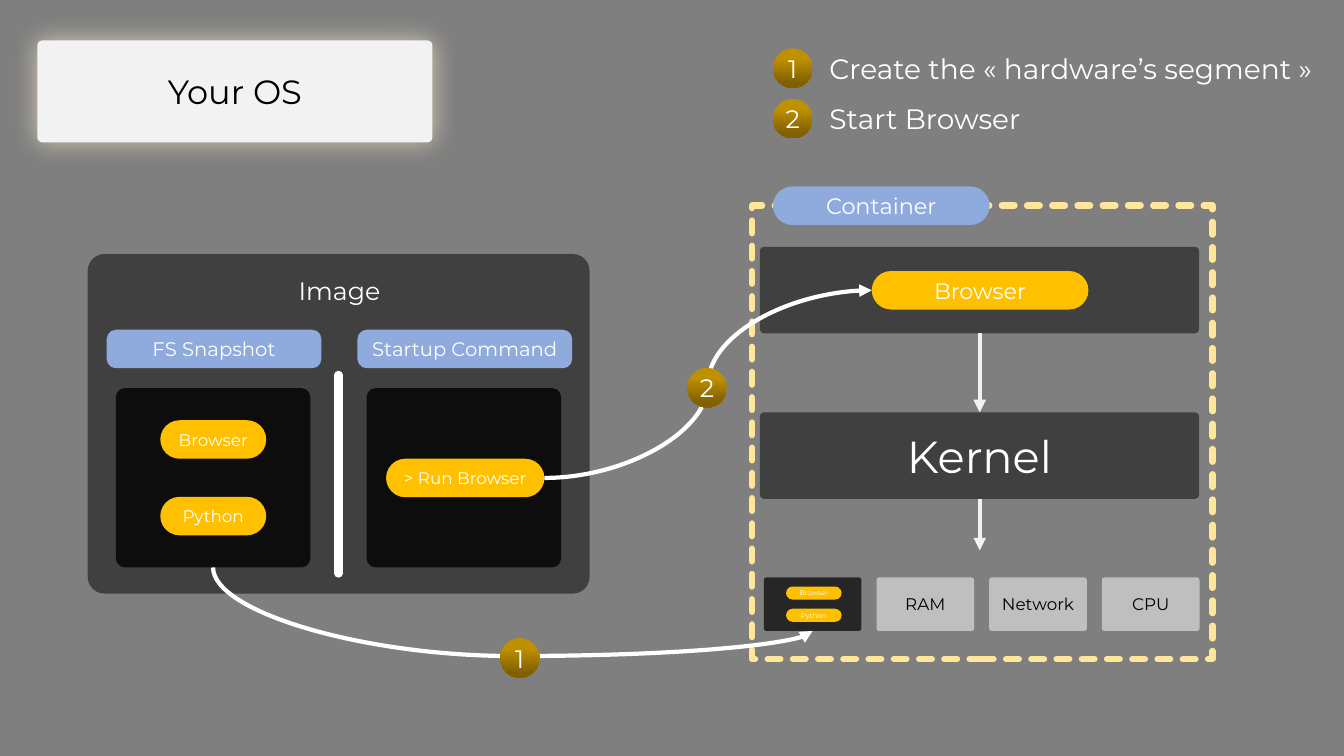
from typing import NamedTuple

from lxml import etree
from pptx import Presentation
from pptx.dml.color import RGBColor
from pptx.enum.dml import MSO_LINE
from pptx.enum.shapes import MSO_CONNECTOR, MSO_SHAPE
from pptx.enum.text import MSO_ANCHOR, PP_ALIGN
from pptx.oxml.ns import qn
from pptx.shapes.autoshape import Shape
from pptx.shapes.connector import Connector
from pptx.shapes.shapetree import SlideShapes
from pptx.util import Cm, Pt

ROUNDED, FRAME, OVAL = MSO_SHAPE.ROUNDED_RECTANGLE, MSO_SHAPE.RECTANGLE, MSO_SHAPE.OVAL
STRAIGHT, CURVE = MSO_CONNECTOR.STRAIGHT, MSO_CONNECTOR.CURVE
SHORT_DASH = MSO_LINE.SQUARE_DOT
MIDDLE = MSO_ANCHOR.MIDDLE
LEFT, CENTER = PP_ALIGN.LEFT, PP_ALIGN.CENTER
LEFT_SITE, BOTTOM_SITE, RIGHT_SITE = 1, 2, 3


class Theme(NamedTuple):
    font: str = "Montserrat"
    page: str = "7F7F7F"
    white: str = "FFFFFF"
    black: str = "000000"
    pale: str = "F2F2F2"
    glow: str = "FFF2CC"
    frame: str = "FFE699"
    layer: str = "404040"
    panel: str = "0D0D0D"
    disk: str = "262626"
    resource: str = "BFBFBF"
    program: str = "FFC000"
    label: str = "8FAADC"
    badge_top: str = "BF9000"
    badge_bottom: str = "806000"
    kernel: int = 32
    title: int = 24
    legend: int = 20
    heading: int = 18
    pill: int = 16
    column: int = 14
    small: int = 12
    tiny: int = 5


THEME = Theme()


class Block(NamedTuple):
    """A filled rounded box; lengths in centimetres, corner as a share of the short side."""
    left: float
    top: float
    width: float
    height: float
    fill: str
    corner: float = 0.05
    text: str = ""
    size: int = THEME.small
    color: str = THEME.white


class Badge(NamedTuple):
    left: float
    top: float
    number: int


def rgb(value: str) -> RGBColor:
    return RGBColor.from_string(value)


def write_text(box: Shape, text: str, *, size: int, color: str = THEME.white,
               align: PP_ALIGN = CENTER, wrap: bool = False) -> None:
    frame = box.text_frame
    frame.word_wrap = wrap
    frame.vertical_anchor = MIDDLE
    frame.margin_left = frame.margin_right = frame.margin_top = frame.margin_bottom = 0
    para = frame.paragraphs[0]
    para.alignment = align
    span = para.add_run()
    span.text = text
    span.font.name = THEME.font
    span.font.size = Pt(size)
    span.font.color.rgb = rgb(color)


def draw_block(shapes: SlideShapes, block: Block) -> Shape:
    box = shapes.add_shape(ROUNDED, Cm(block.left), Cm(block.top),
                           Cm(block.width), Cm(block.height))
    box.adjustments[0] = block.corner
    box.shadow.inherit = False
    box.fill.solid()
    box.fill.fore_color.rgb = rgb(block.fill)
    box.line.fill.background()
    if block.text:
        write_text(box, block.text, size=block.size, color=block.color)
    return box


def draw_badge(shapes: SlideShapes, badge: Badge) -> None:
    disc = shapes.add_shape(OVAL, Cm(badge.left), Cm(badge.top), Cm(1), Cm(1))
    disc.shadow.inherit = False
    disc.line.fill.background()
    disc.fill.gradient()
    disc.fill.gradient_angle = 270
    colors = (THEME.badge_top, THEME.badge_bottom)
    for stop, color, position in zip(disc.fill.gradient_stops, colors, (0.25, 0.87)):
        stop.color.rgb = rgb(color)
        stop.position = position
    write_text(disc, str(badge.number), size=THEME.heading)


def draw_label(shapes: SlideShapes, left: float, top: float, width: float, text: str,
               *, size: int, align: PP_ALIGN) -> None:
    box = shapes.add_textbox(Cm(left), Cm(top), Cm(width), Cm(1.1))
    write_text(box, text, size=size, align=align)


def style_line(line: Connector, color: str, width: float, *, arrow: bool = True) -> None:
    line.line.color.rgb = rgb(color)
    line.line.width = Pt(width)
    etree.SubElement(line._element.spPr, qn("a:effectLst"))
    if arrow:
        etree.SubElement(line.line._get_or_add_ln(), qn("a:tailEnd"), type="triangle")


def draw_vertical(shapes: SlideShapes, x: float, top: float, bottom: float, color: str,
                  width: float, *, arrow: bool = True) -> Connector:
    line = shapes.add_connector(STRAIGHT, Cm(x), Cm(top), Cm(x), Cm(bottom))
    style_line(line, color, width, arrow=arrow)
    return line


def draw_curve(shapes: SlideShapes, source: Shape, source_site: int, target: Shape,
               target_site: int, *, bend: float, turned: bool = False) -> None:
    curve = shapes.add_connector(CURVE, 0, 0, 0, 0)
    curve.begin_connect(source, source_site)
    curve.end_connect(target, target_site)
    if turned:
        # A curve leaving downwards is stored as a sideways one turned by 270 degrees
        across, down = curve.end_x - curve.begin_x, curve.end_y - curve.begin_y
        middle_x, middle_y = curve.begin_x + across // 2, curve.begin_y + down // 2
        curve.begin_x, curve.begin_y = middle_x + down // 2, middle_y - across // 2
        curve.end_x, curve.end_y = middle_x - down // 2, middle_y + across // 2
        curve._element.spPr.find(qn("a:xfrm")).set("rot", str(270 * 60000))
    guides = curve._element.spPr.find(qn("a:prstGeom")).get_or_add_avLst()
    etree.SubElement(guides, qn("a:gd"), name="adj1", fmla=f"val {round(bend * 100000)}")
    style_line(curve, THEME.white, 3)


def add_glow(box: Shape) -> None:
    effects = box._element.spPr.find(qn("a:effectLst"))
    shadow = etree.SubElement(effects, qn("a:outerShdw"), blurRad=str(Pt(19)),
                              dist="0", dir="0", algn="ctr", rotWithShape="0")
    color = etree.SubElement(shadow, qn("a:srgbClr"), val=THEME.glow)
    etree.SubElement(color, qn("a:alpha"), val="66000")


def draw_container(shapes: SlideShapes) -> tuple[Shape, Shape]:
    """Draw the container and return its program pill and its disk box."""
    frame = shapes.add_shape(FRAME, Cm(18.95), Cm(5.18), Cm(11.61), Cm(11.43))
    frame.shadow.inherit = False
    frame.fill.background()
    frame.line.color.rgb = rgb(THEME.frame)
    frame.line.width = Pt(4.5)
    frame.line.dash_style = SHORT_DASH
    frame.line._get_or_add_ln().set("cap", "rnd")
    # Program, kernel and hardware layers
    draw_block(shapes, Block(19.15, 6.22, 11.07, 2.18, THEME.layer))
    draw_block(shapes, Block(19.15, 10.39, 11.07, 2.18, THEME.layer,
                             text="Kernel", size=THEME.kernel))
    for top, bottom in ((8.4, 10.39), (12.57, 13.87)):
        draw_vertical(shapes, 24.69, top, bottom, THEME.pale, 3)
    program = draw_block(shapes, Block(21.97, 6.83, 5.46, 0.97, THEME.program, 0.5,
                                       "Browser", THEME.pill))
    draw_block(shapes, Block(19.48, 4.7, 5.46, 0.97, THEME.label, 0.5,
                             "Container", THEME.pill))
    disk = draw_block(shapes, Block(19.25, 14.55, 2.46, 1.35, THEME.disk))
    for slot, name in enumerate(("RAM", "Network", "CPU"), start=1):
        draw_block(shapes, Block(19.25 + 2.84 * slot, 14.55, 2.46, 1.35, THEME.resource,
                                 text=name, color=THEME.black))
    return program, disk


def draw_image(shapes: SlideShapes) -> tuple[Shape, Shape]:
    """Draw the image box and return its snapshot panel and its command pill."""
    draw_block(shapes, Block(2.21, 6.4, 12.65, 8.56, THEME.layer))
    draw_label(shapes, 7.21, 6.78, 2.69, "Image", size=THEME.heading, align=CENTER)
    panels = []
    for column, name in enumerate(("FS Snapshot", "Startup Command")):
        shift = 6.32 * column
        draw_block(shapes, Block(2.69 + shift, 8.31, 5.41, 0.97, THEME.label, 0.24,
                                 name, THEME.column))
        panels.append(draw_block(shapes, Block(2.92 + shift, 9.78, 4.9, 4.52, THEME.panel)))
    divider = draw_vertical(shapes, 8.53, 9.45, 14.45, THEME.white, 6, arrow=False)
    divider.line._get_or_add_ln().set("cap", "rnd")
    command = draw_block(shapes, Block(9.73, 11.56, 3.99, 0.97, THEME.program, 0.5,
                                       "> Run Browser"))
    return panels[0], command


def main() -> None:
    deck = Presentation()
    deck.slide_width, deck.slide_height = Cm(33.87), Cm(19.05)
    page = deck.slides.add_slide(deck.slide_layouts[6])
    page.background.fill.solid()
    page.background.fill.fore_color.rgb = rgb(THEME.page)
    shapes = page.shapes

    add_glow(draw_block(shapes, Block(0.94, 1.02, 9.96, 2.57, THEME.pale, 0.05,
                                      "Your OS", THEME.title, THEME.black)))
    program, disk = draw_container(shapes)
    snapshot, command = draw_image(shapes)

    # Files in the snapshot and again on the container's disk
    for row, name in enumerate(("Browser", "Python")):
        draw_block(shapes, Block(4.04, 10.59 + 1.93 * row, 2.67, 0.97, THEME.program, 0.5, name))
        draw_block(shapes, Block(19.81, 14.78 + 0.56 * row, 1.4, 0.33, THEME.program, 0.5,
                                 name, THEME.tiny))

    # Steps and their legend
    draw_curve(shapes, snapshot, BOTTOM_SITE, disk, BOTTOM_SITE, bend=1.395, turned=True)
    draw_curve(shapes, command, RIGHT_SITE, program, LEFT_SITE, bend=0.5)
    for badge in (Badge(12.6, 16.08, 1), Badge(17.32, 9.27, 2)):
        draw_badge(shapes, badge)
    for row, step in enumerate(("Create the « hardware’s segment »", "Start Browser")):
        draw_badge(shapes, Badge(19.48, 1.22 + 1.27 * row, row + 1))
        draw_label(shapes, 20.9, 1.17 + 1.27 * row, 12.2, step, size=THEME.legend, align=LEFT)

    deck.save("out.pptx")


if __name__ == "__main__":
    main()
